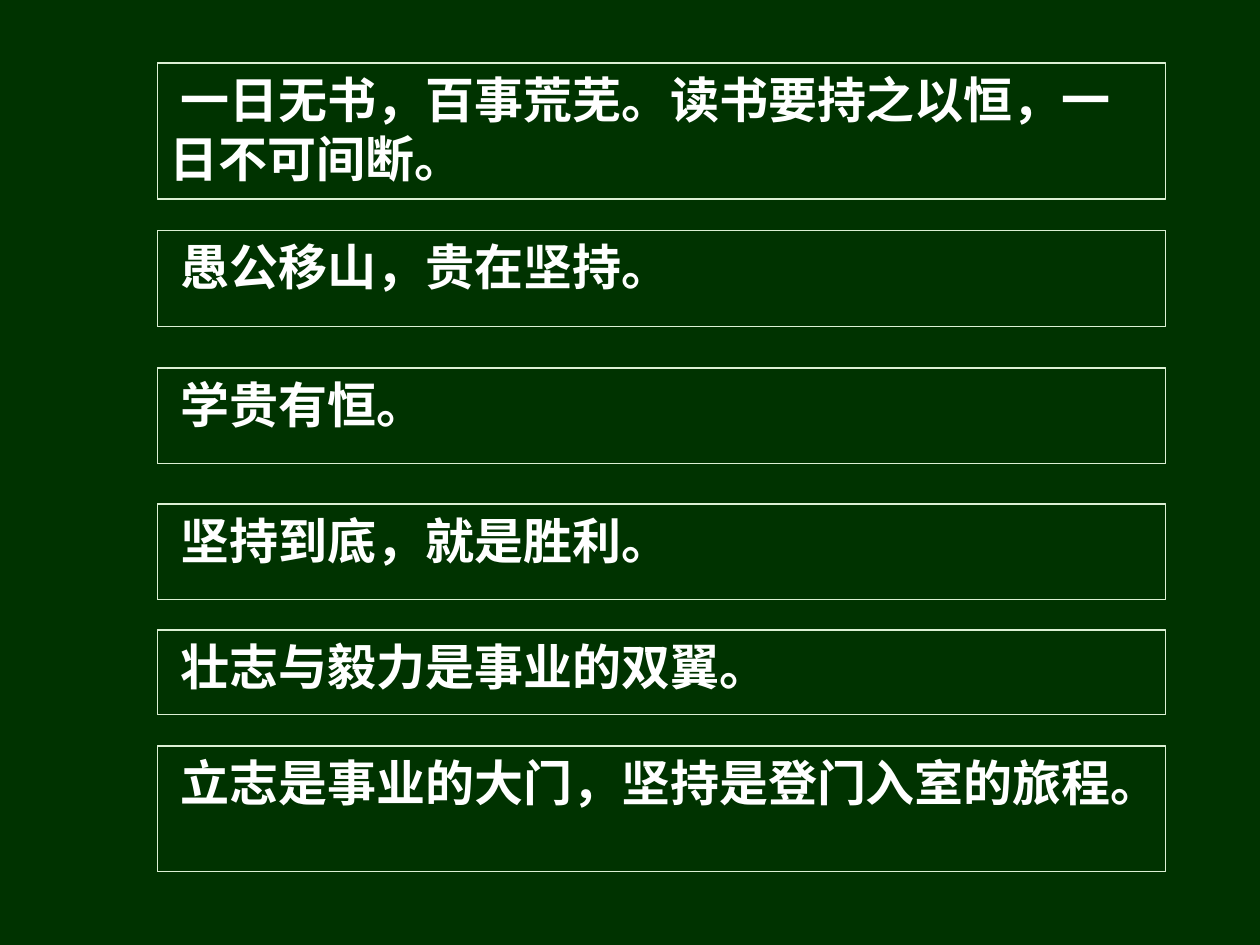
import pptx
import pptx.dml.color
import pptx.enum.shapes
import pptx.oxml.ns
import pptx.util
from lxml import etree

Inches = pptx.util.Inches
FONT = "Noto Sans CJK SC"


def color(value):
    return pptx.dml.color.RGBColor.from_string(value)


prs = pptx.Presentation()
prs.slide_width = Inches(10)
prs.slide_height = Inches(7.5)
s = prs.slides.add_slide(prs.slide_layouts[6])
s.background.fill.solid()
s.background.fill.fore_color.rgb = color("003300")

mottoes = [
    (1.83, 0.76, " 愚公移山，贵在坚持。"),
    (0.5, 1.08, " 一日无书，百事荒芜。读书要持之以恒，一日不可间断。"),
    (2.92, 0.76, " 学贵有恒。"),
    (4, 0.76, " 坚持到底，就是胜利。"),
    (5, 0.67, " 壮志与毅力是事业的双翼。"),
    (5.92, 1, " 立志是事业的大门，坚持是登门入室的旅程。"),
]

for top, height, motto in mottoes:
    box = Inches(1.25), Inches(top), Inches(8), Inches(height)
    group = s.shapes.add_group_shape()
    tf = group.shapes.add_textbox(*box).text_frame
    tf.word_wrap = True
    tf.text = motto
    r = tf.paragraphs[0].runs[0]
    r.font.size = pptx.util.Pt(28)
    r.font.bold = True
    r.font.name = FONT
    r.font.color.rgb = color("FFFFFF")
    ea = etree.SubElement(r.font._element, pptx.oxml.ns.qn("a:ea"))
    ea.set("typeface", FONT)

    for border in ("A0A0A0", "DCF0D4"):
        sp = group.shapes.add_shape(pptx.enum.shapes.MSO_SHAPE.RECTANGLE, *box)
        sp.shadow.inherit = False
        sp.fill.background()
        sp.line.color.rgb = color(border)
        sp.line.width = pptx.util.Pt(0)

prs.save("out.pptx")
